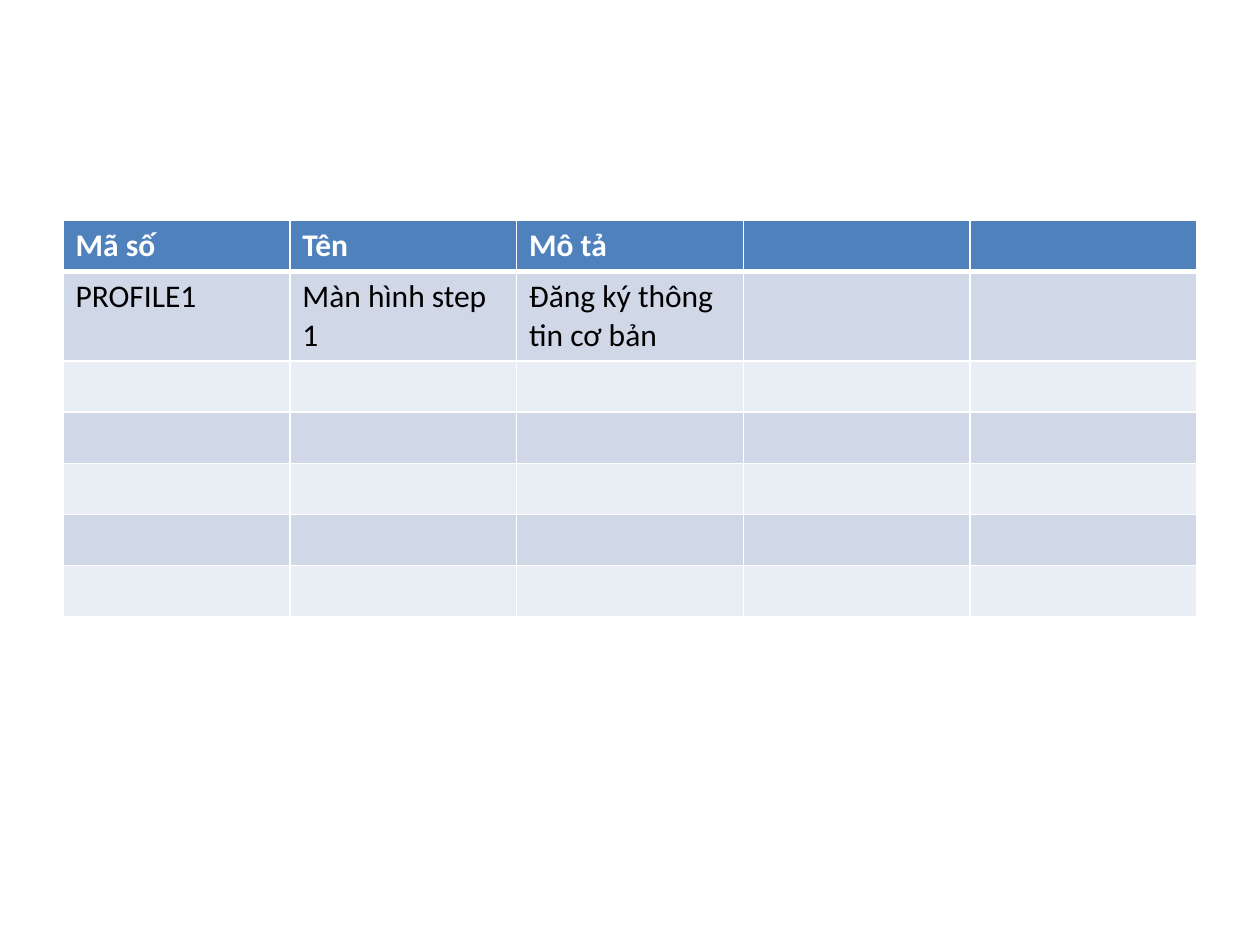
import pptx
import pptx.dml.color
import pptx.oxml
import pptx.oxml.ns
import pptx.util

Pt = pptx.util.Pt
RGBColor = pptx.dml.color.RGBColor

WHITE = RGBColor(0xFF, 0xFF, 0xFF)
BLACK = RGBColor(0, 0, 0)
HEADER_BLUE = RGBColor(0x4F, 0x81, 0xBD)
BAND_DARK = RGBColor(0xD0, 0xD8, 0xE8)
BAND_LIGHT = RGBColor(0xE9, 0xED, 0xF4)

ROW_COUNT, COLUMN_COUNT = 7, 5
ROW_HEIGHT = Pt(29.2)
SCREENS = [
    ["Mã số", "Tên", "Mô tả"],
    ["PROFILE1", "Màn hình step 1", "Đăng ký thông tin cơ bản"],
]


def write_text(frame, text, size=18, color=BLACK, bold=False, font="Calibri"):
    span = frame.paragraphs[0].add_run()
    span.text = text
    span.font.size = Pt(size)
    span.font.name = font
    span.font.bold = bold
    span.font.color.rgb = color


def add_borders(cell, **widths):
    """Draw white borders; widths maps the sides L, R, T, B to points."""
    properties = cell._tc.get_or_add_tcPr()
    for side, width in widths.items():
        properties.append(pptx.oxml.parse_xml(
            f'<a:ln{side} {pptx.oxml.ns.nsdecls("a")} w="{Pt(width)}">'
            f'<a:solidFill><a:srgbClr val="{WHITE}"/></a:solidFill></a:ln{side}>'))


def add_screen_table(page, left, top, width, height):
    box = page.shapes.add_table(ROW_COUNT, COLUMN_COUNT, left, top, width, height)
    table = box.table
    for column in table.columns:
        column.width = width // COLUMN_COUNT
    for row_index, row in enumerate(table.rows):
        row.height = ROW_HEIGHT
        header = row_index == 0
        band = BAND_DARK if row_index % 2 else BAND_LIGHT
        texts = SCREENS[row_index] if row_index < len(SCREENS) else []
        for column_index, cell in enumerate(row.cells):
            add_borders(cell, L=1, R=1, T=3 if row_index == 1 else 1, B=3 if header else 1)
            cell.fill.solid()
            cell.fill.fore_color.rgb = HEADER_BLUE if header else band
            if column_index < len(texts):
                write_text(cell.text_frame, texts[column_index],
                           color=WHITE if header else BLACK, bold=header)
    box.height = height


def main():
    deck = pptx.Presentation()
    deck.slide_width, deck.slide_height = Pt(720), Pt(540)
    page = deck.slides.add_slide(deck.slide_layouts[6])
    add_screen_table(page, Pt(36), Pt(126), Pt(648), Pt(225.4))
    deck.save("out.pptx")


if __name__ == "__main__":
    main()
